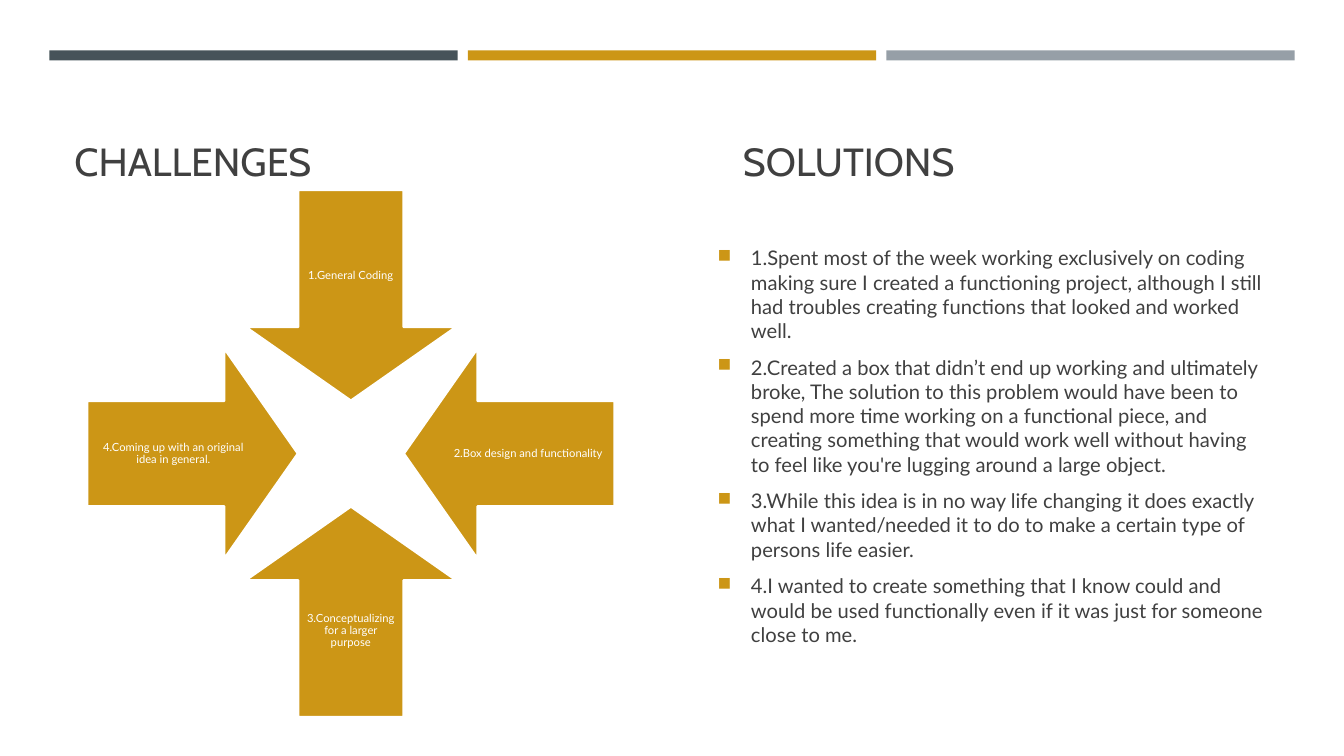
from lxml import etree
from pptx import Presentation
from pptx import util as u
from pptx.dml.color import RGBColor
from pptx.enum import shapes, text
from pptx.oxml.ns import qn

COLORS = {"slate": "465359", "gold": "CC9616", "gray": "969FA7",
          "ink": "404040", "white": "FFFFFF"}
SCALE = 9144  # EMU per px, 100 px to the inch


def px(n):
    return u.Emu(round(n * SCALE))


def rgb(name):
    return RGBColor.from_string(COLORS[name])


class Deck:
    heading_font = "Cabin"
    body_font = "Lato"

    def __init__(self, width, height):
        self.prs = Presentation()
        self.prs.slide_width, self.prs.slide_height = px(width), px(height)
        self.slide = self.prs.slides.add_slide(self.prs.slide_layouts[6])

    def shape(self, kind, x, y, w, h, fill):
        sp = self.slide.shapes.add_shape(kind, px(x), px(y), px(w), px(h))
        sp.shadow.inherit = False
        sp.fill.solid()
        sp.fill.fore_color.rgb = rgb(fill)
        sp.line.fill.background()
        return sp

    def bar(self, x, y, w, h, fill):
        return self.shape(shapes.MSO_SHAPE.RECTANGLE, x, y, w, h, fill)

    def arrow(self, cx, cy, size, rotation):
        sp = self.shape(shapes.MSO_SHAPE.DOWN_ARROW, cx - size / 2,
                        cy - size / 2, size, size, "gold")
        sp.adjustments[0], sp.adjustments[1] = 0.5, 0.35
        sp.rotation = rotation
        sp.line.color.rgb = rgb("white")
        sp.line.width = u.Pt(1.75)
        return sp

    def textbox(self, x, y, w, h, lines, size, color, font, anchor, inset=(10, 5)):
        tf = self.slide.shapes.add_textbox(px(x), px(y), px(w), px(h)).text_frame
        tf.word_wrap = True
        tf.vertical_anchor = anchor
        tf.margin_left = tf.margin_right = px(inset[0])
        tf.margin_top = tf.margin_bottom = px(inset[1])
        tf.text = "\n".join(lines)
        for p in tf.paragraphs:
            for r in p.runs:
                r.font.size, r.font.name = u.Pt(size), font
                r.font.color.rgb = rgb(color)
        return tf

    def title(self, x, y, w, h, parts, tab):
        tf = self.textbox(x, y, w, h, ["\t".join(parts)], 28, "ink",
                          self.heading_font, text.MSO_ANCHOR.BOTTOM)
        pPr = tf.paragraphs[0]._p.get_or_add_pPr()
        tabs = etree.SubElement(pPr, qn("a:tabLst"))
        etree.SubElement(tabs, qn("a:tab"), pos=str(px(tab)), algn="l")

    def label(self, cx, cy, w, h, words):
        tf = self.textbox(cx - w / 2, cy - h / 2, w, h, [words], 8, "white",
                          self.body_font, text.MSO_ANCHOR.MIDDLE, (6, 6))
        p = tf.paragraphs[0]
        p.alignment = text.PP_ALIGN.CENTER
        p.line_spacing = 0.9
        p.space_after = u.Pt(2.8)

    def bullets(self, x, y, w, h, lines, indent):
        tf = self.textbox(x, y, w, h, lines, 14.4, "ink",
                          self.body_font, text.MSO_ANCHOR.MIDDLE)
        for p in tf.paragraphs:
            p.space_before, p.space_after = u.Pt(2.88), u.Pt(6)
            pPr = p._p.get_or_add_pPr()
            pPr.set("marL", str(px(indent)))
            pPr.set("indent", str(px(-indent)))
            clr = etree.SubElement(pPr, qn("a:buClr"))
            etree.SubElement(clr, qn("a:srgbClr"), val=COLORS["gold"])
            etree.SubElement(pPr, qn("a:buSzPct"), val="92000")
            etree.SubElement(pPr, qn("a:buChar"), char="■")


CHALLENGES = [
    "1.General Coding",
    "2.Box design and functionality",
    "3.Conceptualizing for a larger purpose",
    "4.Coming up with an original idea in general.",
]
SOLUTIONS = [
    "1.Spent most of the week working exclusively on coding making sure I created "
    "a functioning project, although I still had troubles creating functions that "
    "looked and worked well.",
    "2.Created a box that didn’t end up working and ultimately broke, The solution "
    "to this problem would have been to spend more time working on a functional "
    "piece, and creating something that would work well without having to feel "
    "like you're lugging around a large object.",
    "3.While this idea is in no way life changing it does exactly what I "
    "wanted/needed it to do to make a certain type of persons life easier.",
    "4.I wanted to create something that I know could and would be used "
    "functionally even if it was just for someone close to me.",
]


def main():
    deck = Deck(1333, 750)

    # Three bars along the top
    for i, color in enumerate(["slate", "gold", "gray"]):
        deck.bar(49 + 415 * i, 50, 405, 10, color)

    # Headings of both halves
    deck.title(64, 80, 1206, 108, ["CHALLENGES", "SOLUTIONS"], 663)

    # Four arrows pointing at the centre, clockwise from the top
    cx, cy = 348, 450
    directions = [(0, -1), (1, 0), (0, 1), (-1, 0)]
    for i, ((dx, dy), words) in enumerate(zip(directions, CHALLENGES)):
        deck.arrow(cx + 157 * dx, cy + 157 * dy, 209, 90 * i)
        w, h = (172, 104) if dx else (104, 172)
        deck.label(cx + 176 * dx, cy + 176 * dy, w, h, words)

    # Solutions list
    deck.bullets(702, 244, 568, 397, SOLUTIONS, 33)

    deck.prs.save("out.pptx")


if __name__ == "__main__":
    main()
